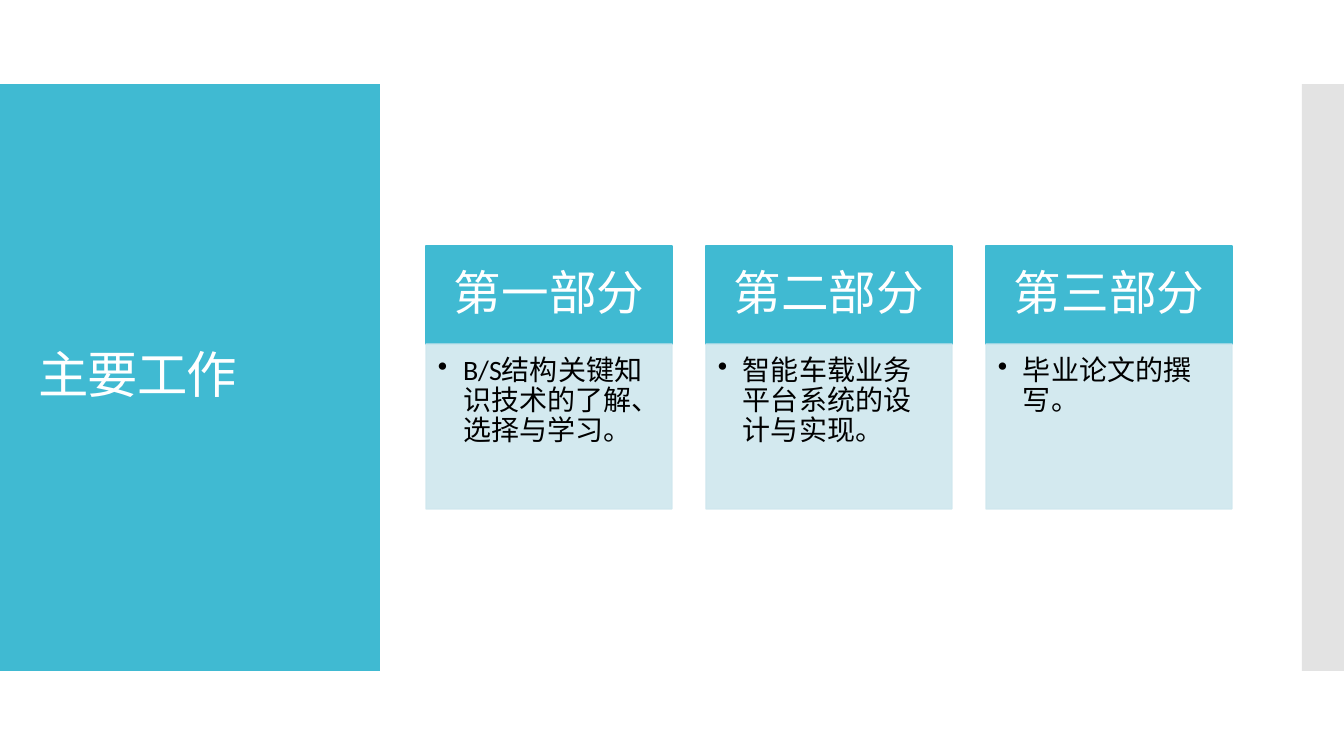
"""Build the main-work slide: a title band and three columns of work parts."""
from dataclasses import dataclass

from lxml import etree
from pptx import Presentation, util as u
from pptx.dml import color
from pptx.enum import shapes, text
from pptx.oxml import ns

SCALE = 914400 / 100.8


@dataclass(frozen=True)
class Theme:
    font: str = "Calibri"
    accent: str = "40BAD2"
    pale: str = "CFE7EE"
    edge: str = "C8C8C8"
    white: str = "FFFFFF"
    black: str = "000000"
    title_size: int = 36
    heading_size: int = 34
    body_size: int = 20
    outline: float = 0.85


theme = Theme()


def add_panel(slide, box, fill, opacity=100, outlined=False):
    panel = slide.shapes.add_shape(
        shapes.MSO_SHAPE.RECTANGLE, *[round(value * SCALE) for value in box])
    panel.shadow.inherit = False
    formats = [panel.fill]
    if outlined:
        panel.line.width = u.Pt(theme.outline)
        formats.append(panel.line.fill)
    else:
        panel.line.fill.background()
    for paint in formats:
        paint.solid()
        paint.fore_color.rgb = color.RGBColor.from_string(fill)
    if opacity < 100:
        for swatch in panel._element.spPr.iter(ns.qn("a:srgbClr")):
            etree.SubElement(swatch, ns.qn("a:alpha"), val=str(opacity * 1000))
    return panel


def add_text(shape, words, size, ink, insets, anchor, align):
    frame = shape.text_frame
    frame.word_wrap = True
    frame.vertical_anchor = anchor
    frame.margin_left, frame.margin_top, frame.margin_right, frame.margin_bottom = [
        round(value * SCALE) for value in insets]
    paragraph = frame.paragraphs[0]
    paragraph.alignment = align
    paragraph.line_spacing = 0.9
    run = paragraph.add_run()
    run.text = words
    run.font.name = theme.font
    run.font.size = u.Pt(size)
    run.font.color.rgb = color.RGBColor.from_string(ink)
    return paragraph


presentation = Presentation()
presentation.slide_width = round(1344 * SCALE)
presentation.slide_height = round(756 * SCALE)
slide = presentation.slides.add_slide(presentation.slide_layouts[6])

add_panel(slide, (0, 84, 380, 587), theme.accent)
add_panel(slide, (1302, 84, 42, 587), theme.edge, opacity=50)

title = slide.shapes.add_textbox(*[round(value * SCALE) for value in (28, 124, 325, 507)])
paragraph = add_text(title, "主要工作", theme.title_size, theme.white, (10, 5, 10, 5),
                     text.MSO_ANCHOR.MIDDLE, text.PP_ALIGN.LEFT)
paragraph.runs[0].font._element.set("spc", "-60")

parts = [
    ("第一部分", "B/S结构关键知识技术的了解、选择与学习。"),
    ("第二部分", "智能车载业务平台系统的设计与实现。"),
    ("第三部分", "毕业论文的撰写。"),
]
for index, (heading, description) in enumerate(parts):
    left = 426 + 280 * index
    header = add_panel(slide, (left, 246, 246, 98), theme.accent, outlined=True)
    add_text(header, heading, theme.heading_size, theme.white, (26, 15, 26, 15),
             text.MSO_ANCHOR.MIDDLE, text.PP_ALIGN.CENTER)

    body = add_panel(slide, (left, 344, 246, 165), theme.pale, opacity=90, outlined=True)
    paragraph = add_text(body, description, theme.body_size, theme.black, (12, 12, 16, 17),
                         text.MSO_ANCHOR.TOP, text.PP_ALIGN.LEFT)
    properties = paragraph._p.get_or_add_pPr()
    properties.set("marL", str(round(25 * SCALE)))
    properties.set("indent", str(round(-25 * SCALE)))
    etree.SubElement(properties, ns.qn("a:buChar"), char="•")

presentation.save("out.pptx")
